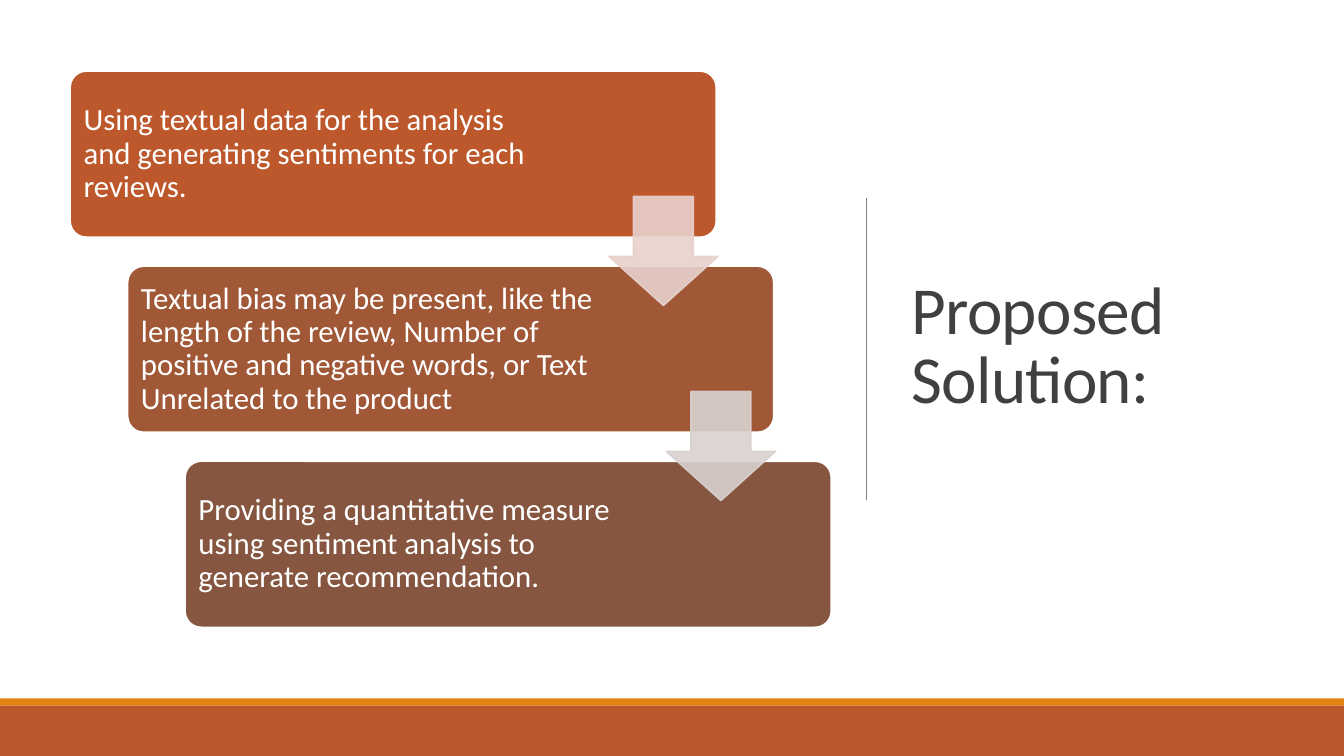
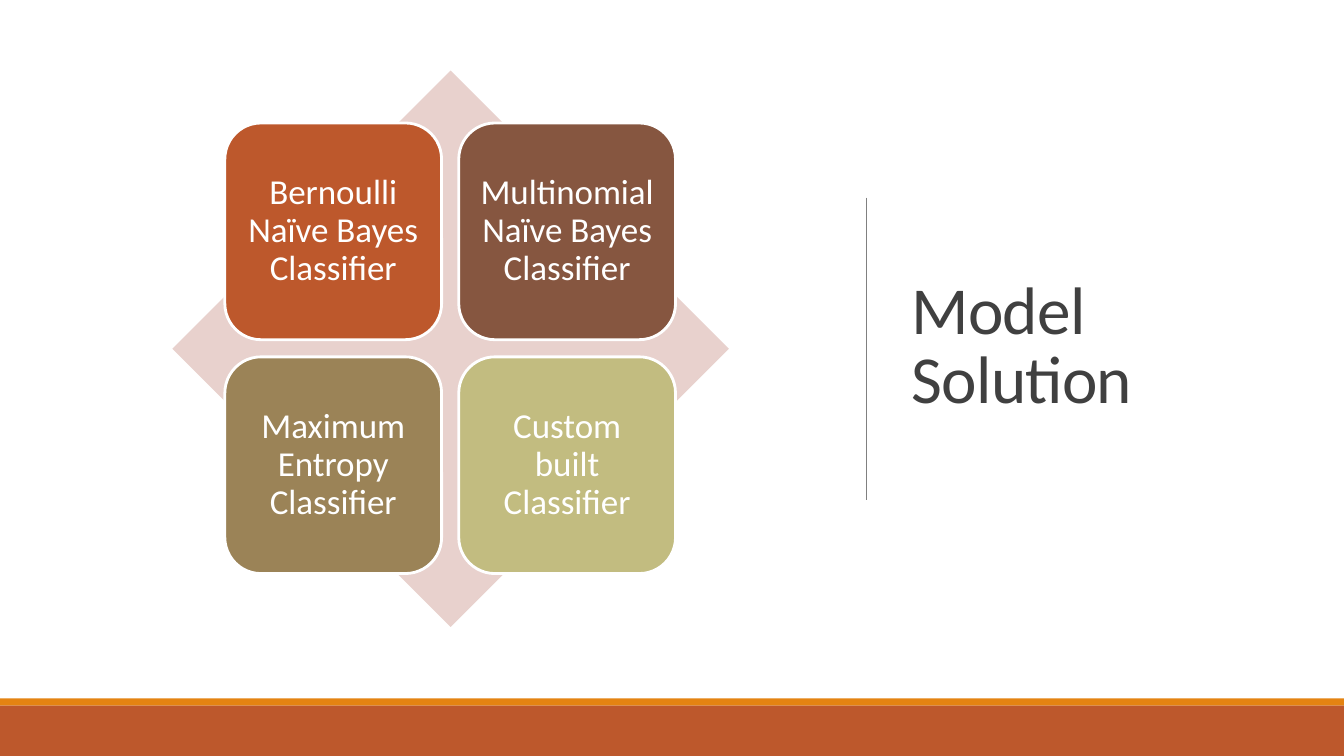
import pptx
import pptx.dml.color
import pptx.enum.shapes
import pptx.enum.text
import pptx.oxml
import pptx.oxml.ns
import pptx.util
from dataclasses import dataclass

Inches = pptx.util.Inches
Pt = pptx.util.Pt
Shape = pptx.enum.shapes.MSO_SHAPE
Align = pptx.enum.text.PP_ALIGN
Anchor = pptx.enum.text.MSO_ANCHOR


@dataclass(frozen=True)
class Theme:
    font: str = "Calibri"
    white: str = "FFFFFF"
    ink: str = "404040"
    rule: str = "808080"
    gold: str = "E48312"
    rust: str = "BD582C"
    clay: str = "A05837"
    brown: str = "865640"
    khaki: str = "9B8357"
    olive: str = "C2BC80"
    blush: str = "E8D1CD"
    mist: str = "D9D1CF"
    head: int = 48
    step: int = 22
    tile: int = 25


def color(code):
    return pptx.dml.color.RGBColor.from_string(code)


def write(frame, words, font, size, ink, align=Align.LEFT, lead=0.9,
          inset=(0.1, 0.1, 0.1, 0.1), track=None):
    frame.word_wrap = True
    frame.auto_size = pptx.enum.text.MSO_AUTO_SIZE.NONE
    frame.vertical_anchor = Anchor.MIDDLE
    (frame.margin_left, frame.margin_top,
     frame.margin_right, frame.margin_bottom) = map(Inches, inset)
    para = frame.paragraphs[0]
    para.alignment = align
    para.line_spacing = lead
    run = para.add_run()
    run.text = words
    run.font.name = font
    run.font.size = Pt(size)
    run.font.color.rgb = color(ink)
    if track is not None:
        run._r.get_or_add_rPr().set("spc", str(track))


class Deck:
    """Hold the theme and the current slide, and draw each kind of element."""

    def __init__(self, theme):
        self.theme = theme
        self.show = pptx.Presentation()
        self.show.slide_width = Inches(13.33)
        self.show.slide_height = Inches(7.5)
        self.slide = None

    def start(self, title):
        theme = self.theme
        self.slide = self.show.slides.add_slide(self.show.slide_layouts[5])
        self.block(Shape.RECTANGLE, (0, 6.93, 13.33, 0.07), theme.gold)
        self.block(Shape.RECTANGLE, (0, 7, 13.33, 0.5), theme.rust)
        self.line((8.59, 1.96), (8.59, 4.96))
        head = self.slide.shapes.title
        head.left, head.top, head.width, head.height = map(
            Inches, (8.94, 0.69, 3.69, 5.53))
        write(head.text_frame, title, theme.font, theme.head, theme.ink,
              lead=0.85, track=-50)

    def line(self, start, end):
        rule = self.slide.shapes.add_connector(
            pptx.enum.shapes.MSO_CONNECTOR.STRAIGHT,
            *map(Inches, start + end))
        rule.line.color.rgb = color(self.theme.rule)
        rule.line.width = Pt(0.5)
        rule._element.spPr.append(pptx.oxml.parse_xml(
            "<a:effectLst %s/>" % pptx.oxml.ns.nsdecls("a")))

    def block(self, kind, place, fill, edge=None, width=2, bend=()):
        shape = self.slide.shapes.add_shape(kind, *map(Inches, place))
        shape.shadow.inherit = False
        shape.fill.solid()
        shape.fill.fore_color.rgb = color(fill)
        if edge:
            shape.line.color.rgb = color(edge)
            shape.line.width = Pt(width)
        else:
            shape.line.fill.background()
        for spot, value in enumerate(bend):
            shape.adjustments[spot] = value
        return shape

    def step(self, place, fill, words):
        theme = self.theme
        box = self.block(Shape.ROUNDED_RECTANGLE, place, fill, theme.white,
                         bend=(0.1,))
        write(box.text_frame, words, theme.font, theme.step, theme.white,
              inset=(0.09, 0.09, 1.75, 0.09))

    def tile(self, place, fill, words):
        theme = self.theme
        box = self.block(Shape.ROUNDED_RECTANGLE, place, fill, theme.white)
        write(box.text_frame, words, theme.font, theme.tile, theme.white,
              align=Align.CENTER)

    def arrow(self, place, fill):
        shape = self.block(Shape.DOWN_ARROW, place, fill, fill, 1.25,
                           (0.55, 0.45))
        for tint in shape._element.spPr.iter(pptx.oxml.ns.qn("a:srgbClr")):
            tint.append(pptx.oxml.parse_xml(
                '<a:alpha %s val="90000"/>' % pptx.oxml.ns.nsdecls("a")))


def steps(deck):
    theme = deck.theme
    deck.start("Proposed Solution:")
    left, top, wide, high = 0.69, 0.7, 6.42, 1.66
    shift, pitch = 0.57, (5.53 - high) / 2
    items = [
        (theme.rust, "Using textual data for the analysis and generating "
                     "sentiments for each reviews."),
        (theme.clay, "Textual bias may be present, like the length of the "
                     "review, Number of positive and negative words, or Text "
                     "Unrelated to the product"),
        (theme.brown, "Providing a quantitative measure using sentiment "
                      "analysis to generate recommendation."),
    ]
    for row, (fill, words) in enumerate(items):
        deck.step((left + row * shift, top + row * pitch, wide, high),
                  fill, words)
    for row, fill in enumerate((theme.blush, theme.mist)):
        deck.arrow((left + 5.35 + row * shift, top + 1.25 + row * pitch,
                    1.08, 1.08), fill)


def models(deck):
    theme = deck.theme
    deck.start("Model Solution")
    deck.block(Shape.DIAMOND, (1.71, 0.7, 5.52, 5.52), theme.blush)
    left, top, side, pitch = 2.23, 1.22, 2.15, 2.32
    items = [
        (theme.rust, "Bernoulli Naïve Bayes Classifier"),
        (theme.brown, "Multinomial Naïve Bayes Classifier"),
        (theme.khaki, "Maximum Entropy Classifier"),
        (theme.olive, "Custom built Classifier"),
    ]
    for spot, (fill, words) in enumerate(items):
        row, col = divmod(spot, 2)
        deck.tile((left + col * pitch, top + row * pitch, side, side),
                  fill, words)


def main():
    deck = Deck(Theme())
    steps(deck)
    models(deck)
    deck.show.save("out.pptx")


if __name__ == "__main__":
    main()
